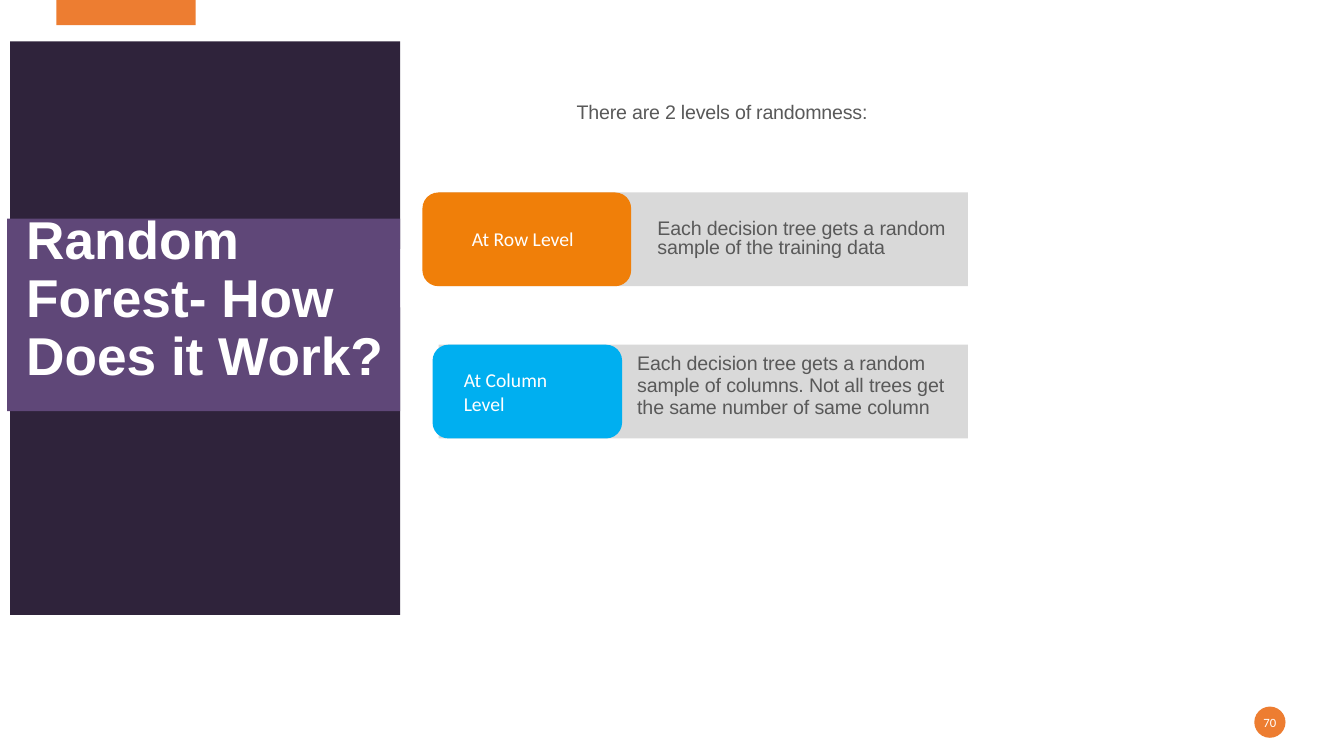
from pptx import Presentation, util as u
from pptx.dml.color import RGBColor
from pptx.enum import shapes, text

ORANGE = RGBColor(0xED, 0x7D, 0x31)
AMBER = RGBColor(0xF0, 0x7F, 0x09)
SKY = RGBColor(0x00, 0xAF, 0xF0)
PLUM = RGBColor(0x2F, 0x23, 0x3B)
PURPLE = RGBColor(0x5F, 0x47, 0x78)
SILVER = RGBColor(0xD9, 0xD9, 0xD9)
GREY = RGBColor(0x59, 0x59, 0x59)
WHITE = RGBColor(0xFF, 0xFF, 0xFF)


class SlideBuilder:
    """Draws flat shapes and styled text on one slide."""

    def __init__(self, slide):
        self.slide = slide

    def block(self, box, color, kind=shapes.MSO_SHAPE.RECTANGLE):
        shape = self.slide.shapes.add_shape(kind, *map(u.Inches, box))
        shape.shadow.inherit = False
        shape.fill.solid()
        shape.fill.fore_color.rgb = color
        shape.line.fill.background()
        return shape

    def rounded(self, box, color):
        shape = self.block(box, color, shapes.MSO_SHAPE.ROUNDED_RECTANGLE)
        shape.adjustments[0] = 0.17

    def set_text(self, frame, words, size, font, color, top=0, spacing=None, tracking=0):
        frame.word_wrap = True
        frame.margin_left = frame.margin_right = frame.margin_bottom = 0
        frame.margin_top = u.Inches(top)
        paragraph = frame.paragraphs[0]
        run = paragraph.add_run()
        run.text = words
        if tracking:
            run._r.get_or_add_rPr().set("spc", str(tracking))
        paragraph.font.size = u.Pt(size)
        paragraph.font.name = font
        paragraph.font.color.rgb = color
        if spacing:
            paragraph.line_spacing = spacing
        return paragraph

    def label(self, box, words, size=14, font="Arial", color=GREY, **layout):
        textbox = self.slide.shapes.add_textbox(*map(u.Inches, box))
        return self.set_text(textbox.text_frame, words, size, font, color, **layout)

    def page_number(self, box, number):
        circle = self.block(box, ORANGE, shapes.MSO_SHAPE.OVAL)
        circle.text_frame.vertical_anchor = text.MSO_ANCHOR.MIDDLE
        paragraph = self.set_text(circle.text_frame, number, 9, "Calibri", WHITE)
        paragraph.alignment = text.PP_ALIGN.CENTER


def main():
    presentation = Presentation()
    presentation.slide_width = u.Inches(13.33)
    presentation.slide_height = u.Inches(7.5)
    builder = SlideBuilder(presentation.slides.add_slide(presentation.slide_layouts[6]))

    builder.block((0.56, 0, 1.38, 0.25), ORANGE)
    builder.page_number((12.44, 7.01, 0.31, 0.31), "70")

    builder.block((0.1, 0.41, 3.87, 2.06), PLUM)
    builder.block((0.1, 3.05, 3.87, 3.05), PLUM)
    builder.block((0.07, 2.17, 3.9, 1.91), PURPLE)
    title = builder.label((0.26, 2.02, 3.7, 1.81), "Random Forest- How Does it Work?",
                          38, color=WHITE, top=0.09, spacing=u.Pt(41.3))
    title.font.bold = True

    builder.label((5.72, 0.98, 3.43, 0.25), "There are 2 levels of randomness:",
                  top=0.01, tracking=-16)

    levels = [
        (1.91, (4.19, 2.07), AMBER, "At Row Level", (4.68, 2.24, 1.12, 0.25),
         "Each decision tree gets a random sample of the training data",
         (6.52, 2.15, 2.98, 0.43), 0.04, u.Pt(13.5)),
        (3.42, (4.29, 1.88), SKY, "At Column Level", (4.6, 3.64, 1.1, 0.49),
         "Each decision tree gets a random sample of columns. Not all trees get "
         "the same number of same column",
         (6.32, 3.47, 3.17, 0.7), 0.03, 0.94),
    ]
    for y, (left, width), color, name, name_box, detail, detail_box, top, spacing in levels:
        builder.block((4.35, y, 5.25, 0.93), SILVER)
        builder.label(detail_box, detail, top=top, spacing=spacing, tracking=-12)
        builder.rounded((left, y, width, 0.93), color)
        builder.label(name_box, name, font="Calibri", color=WHITE, top=0.01)

    presentation.save("out.pptx")


if __name__ == "__main__":
    main()
